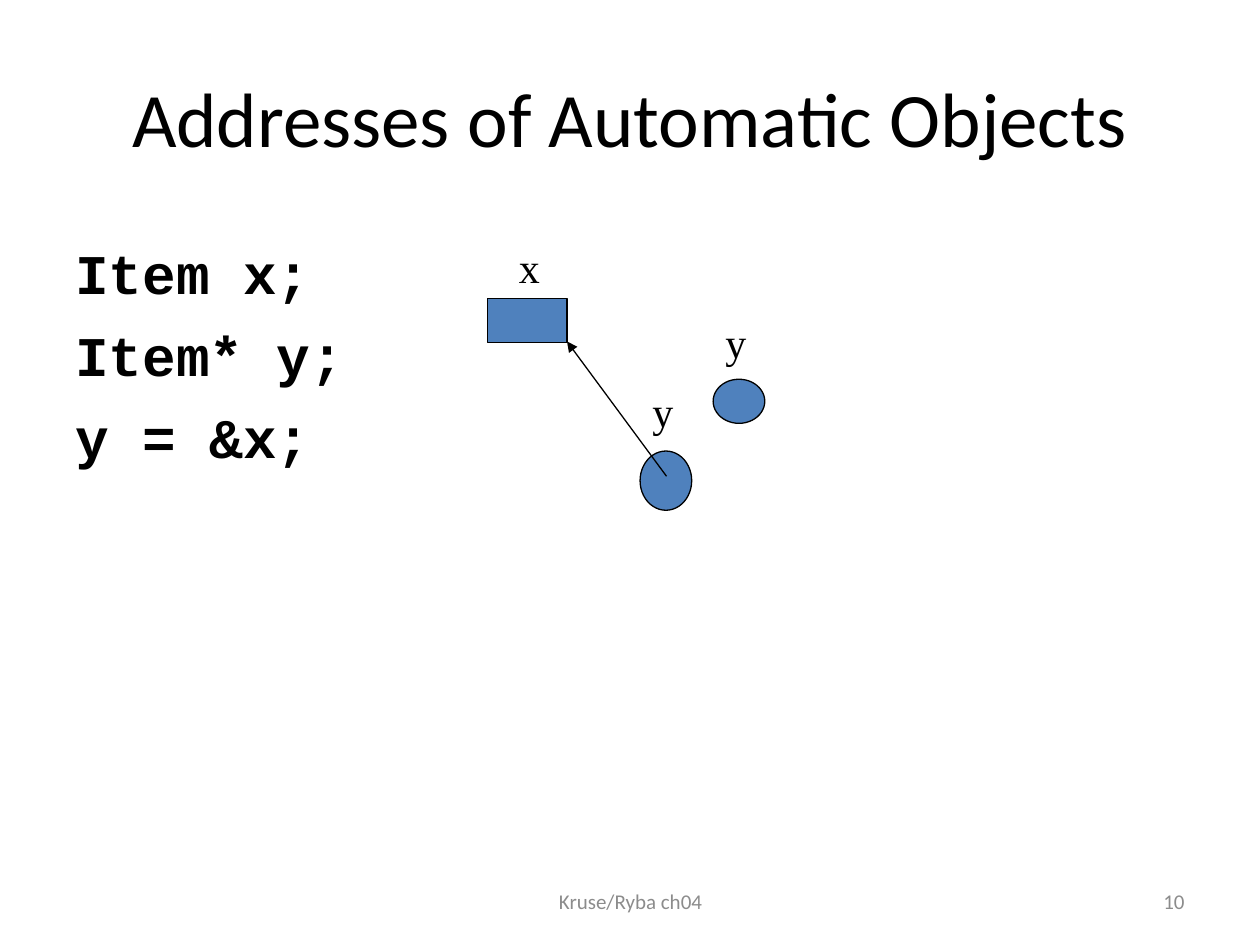
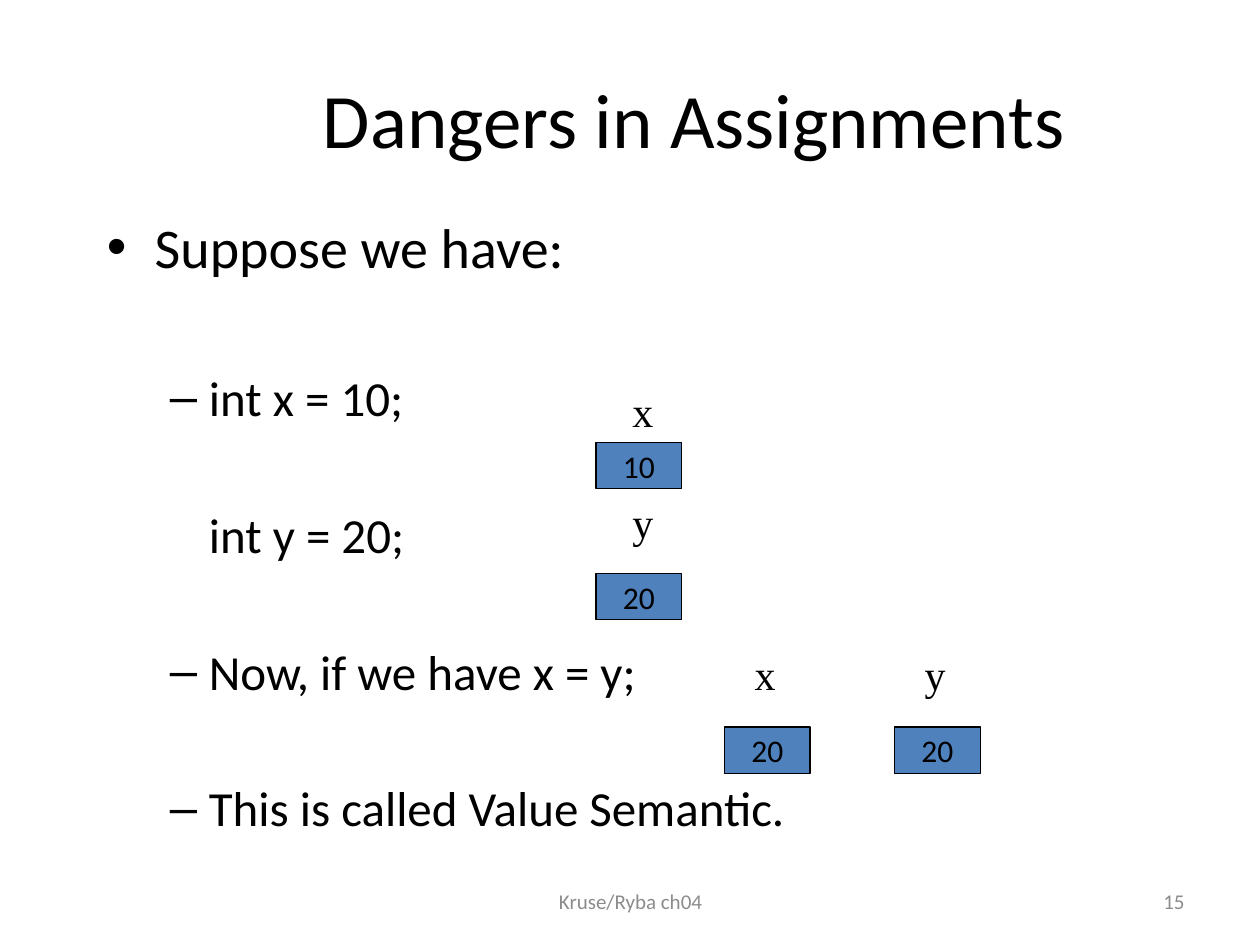
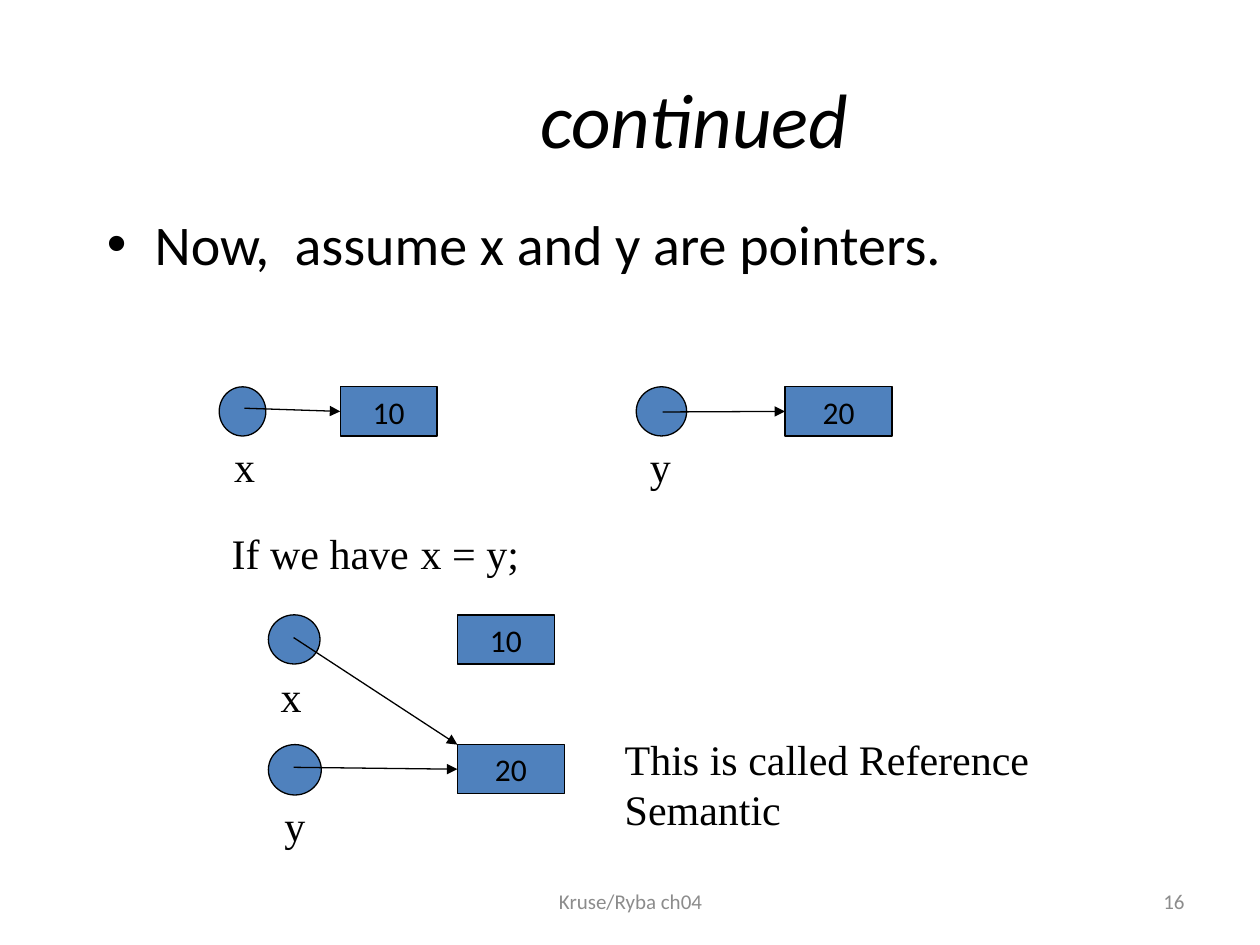
from dataclasses import dataclass
from typing import NamedTuple

from lxml import etree
from pptx import Presentation
from pptx.dml.color import RGBColor
from pptx.enum.shapes import MSO_CONNECTOR, MSO_SHAPE
from pptx.enum.text import MSO_ANCHOR, MSO_AUTO_SIZE, PP_ALIGN
from pptx.oxml.ns import qn
from pptx.util import Inches, Pt

RECTANGLE, ELLIPSE = MSO_SHAPE.RECTANGLE, MSO_SHAPE.OVAL
STRAIGHT = MSO_CONNECTOR.STRAIGHT
LEFT, CENTER, RIGHT = PP_ALIGN.LEFT, PP_ALIGN.CENTER, PP_ALIGN.RIGHT
TOP, MIDDLE = MSO_ANCHOR.TOP, MSO_ANCHOR.MIDDLE
NO_AUTOFIT = MSO_AUTO_SIZE.NONE

SLIDE_WIDTH, SLIDE_HEIGHT = Inches(10), Inches(7.5)
COLUMN, ROW = SLIDE_WIDTH / 100, SLIDE_HEIGHT / 75
TITLE_ONLY = 5
LEFT_SIDE = 1

BLACK, BLUE, GRAY = "000000", "4F81BD", "8C8C8C"
SANS, SERIF, MONO = "Calibri", "Times New Roman", "Courier New"
FOOTER = "Kruse/Ryba ch04"


class Box(NamedTuple):
    column: float
    row: float
    columns: float
    rows: float

    def lengths(self) -> tuple[int, int, int, int]:
        return (round(self.column * COLUMN), round(self.row * ROW),
                round(self.columns * COLUMN), round(self.rows * ROW))


class Point(NamedTuple):
    column: float
    row: float


class Line(NamedTuple):
    text: str
    size: float = 28
    bullet: str = ""
    margin: float = 0.81
    indent: float = -0.31
    before: float = 0
    tab: float = 0
    font: str = SANS
    bold: bool = False


class Node(NamedTuple):
    box: Box
    value: str = ""
    kind: int = RECTANGLE


class Label(NamedTuple):
    text: str
    column: float
    row: float
    columns: float = 4
    rows: float = 5
    tab: float = 0


class Arrow(NamedTuple):
    start: Point
    end: Point
    target: int | None = None


@dataclass(frozen=True)
class Page:
    number: int
    title: str
    title_box: Box
    body_box: Box
    lines: list[Line]
    nodes: list[Node]
    labels: list[Label]
    arrows: list[Arrow]
    italic: bool = False


FOOTER_BOX = Box(34.2, 69.5, 31.7, 4)
NUMBER_BOX = Box(71.7, 69.5, 23.3, 4)
WIDE_TITLE = Box(5, 3, 90, 12.5)
OFFSET_TITLE = Box(12.6, 5, 85, 8.7)


def code(text: str, before: float = 8.6) -> Line:
    return Line(text, 32, "", 0.38, -0.38, before, font=MONO, bold=True)


def point(text: str, tab: float = 0) -> Line:
    return Line(text, 32, "•", 0.38, -0.38, tab=tab)


def value_box(value: str, column: float, row: float) -> Node:
    return Node(Box(column, row, 6.8, 3.7), value)


def target_box(value: str, column: float, row: float, columns: float) -> Node:
    return Node(Box(column, row, columns, 3.9), value)


def pointer(column: float, row: float, columns: float, rows: float) -> Node:
    return Node(Box(column, row, columns, rows), kind=ELLIPSE)


PAGES = [
    Page(
        10, "Addresses of Automatic Objects", WIDE_TITLE, Box(5, 18.4, 90, 48.6),
        [code("Item x;", 0), code("Item* y;"), code("y = &x;")],
        [Node(Box(38.7, 23.7, 6.3, 3.5)),
         pointer(56.6, 30.1, 4.1, 3.5), pointer(50.8, 35.8, 4.1, 4.7)],
        [Label("x", 40.2, 18.7), Label("y", 56.6, 24.6), Label("y", 50.8, 30.1)],
        [Arrow(Point(52.9, 37.8), Point(45, 27.1))],
    ),
    Page(
        15, "Dangers in Assignments", OFFSET_TITLE, Box(7.5, 16.4, 85, 56.8),
        [point("Suppose we have:"),
         Line("int x = 10;", bullet="–", before=50),
         Line("int y = 20;", indent=0, before=44.5),
         Line("Now, if we have x = y;", bullet="–", before=44.5),
         Line("This is called Value Semantic.", bullet="–", before=44.5)],
        [value_box("10", 47.3, 35.1), value_box("20", 47.3, 45.5),
         value_box("20", 57.5, 57.7), value_box("20", 71, 57.7)],
        [Label("x", 49.2, 30.1), Label("y", 49.2, 38.9),
         Label("x", 58.9, 51), Label("y", 72.4, 51)],
        [],
    ),
    Page(
        16, "continued", OFFSET_TITLE, Box(7.5, 16.1, 85, 56.9),
        [point("Now,\tassume x and y are pointers.", 1.49)],
        [pointer(17.4, 30.7, 3.7, 3.9), pointer(50.5, 30.7, 4, 3.9),
         target_box("10", 27, 30.7, 7.7), target_box("20", 62.3, 30.7, 8.5),
         target_box("10", 36.3, 48.8, 7.7), target_box("20", 36.3, 59.1, 8.5),
         pointer(21.3, 48.8, 4.1, 3.9), pointer(21.3, 59.1, 4.2, 4)],
        [Label("x", 17.6, 34.5), Label("y", 50.6, 34.5),
         Label("If we have\tx = y;", 17.4, 41.4, 37.1, tab=1.66),
         Label("x", 21.3, 52.7), Label("y", 21.6, 63),
         Label("This is called Reference Semantic", 48.6, 57.7, 44.4, 9)],
        [Arrow(Point(19.4, 32.4), Point(27, 32.7), 2),
         Arrow(Point(52.6, 32.7), Point(62.3, 32.7), 3),
         Arrow(Point(23.3, 60.9), Point(36.3, 60.9), 5),
         Arrow(Point(23.3, 50.6), Point(36.3, 59.1))],
        italic=True,
    ),
]


def color(value: str) -> RGBColor:
    return RGBColor.from_string(value)


def write(paragraph, text: str, *, size: float, font: str = SANS,
          ink: str = BLACK, align: int = LEFT, bold: bool = False,
          italic: bool = False, before: float = 0, bullet: str = "",
          margin: float = 0, indent: float = 0, tab: float = 0) -> None:
    properties = paragraph._p.get_or_add_pPr()
    properties.set("marL", str(Inches(margin)))
    properties.set("indent", str(Inches(indent)))
    if bullet:
        etree.SubElement(properties, qn("a:buFont"), typeface="Arial")
        etree.SubElement(properties, qn("a:buChar"), char=bullet)
    else:
        etree.SubElement(properties, qn("a:buNone"))
    if tab:
        tabs = etree.SubElement(properties, qn("a:tabLst"))
        etree.SubElement(tabs, qn("a:tab"), pos=str(Inches(tab)), algn="l")
    paragraph.alignment = align
    paragraph.space_before = Pt(before)
    run = paragraph.add_run()
    run.text = text
    run.font.name, run.font.size = font, Pt(size)
    run.font.bold, run.font.italic = bold, italic
    run.font.color.rgb = color(ink)


def add_text_frame(slide, box: Box, anchor: int = TOP):
    frame = slide.shapes.add_textbox(*box.lengths()).text_frame
    frame.word_wrap = True
    frame.auto_size = NO_AUTOFIT
    frame.vertical_anchor = anchor
    return frame


def add_title(slide, page: Page) -> None:
    title = slide.shapes.title
    title.left, title.top, title.width, title.height = page.title_box.lengths()
    title.text_frame.auto_size = NO_AUTOFIT
    title.text_frame.vertical_anchor = MIDDLE
    write(title.text_frame.paragraphs[0], page.title, size=44, align=CENTER,
          italic=page.italic)


def add_footer(slide, number: int) -> None:
    for text, box, align in ((FOOTER, FOOTER_BOX, CENTER),
                             (str(number), NUMBER_BOX, RIGHT)):
        frame = add_text_frame(slide, box, MIDDLE)
        write(frame.paragraphs[0], text, size=12, ink=GRAY, align=align)


def add_body(slide, page: Page) -> None:
    frame = add_text_frame(slide, page.body_box)
    for index, line in enumerate(page.lines):
        paragraph = frame.add_paragraph() if index else frame.paragraphs[0]
        write(paragraph, **line._asdict())


def add_node(slide, node: Node):
    shape = slide.shapes.add_shape(node.kind, *node.box.lengths())
    shape.shadow.inherit = False
    shape.fill.solid()
    shape.fill.fore_color.rgb = color(BLUE)
    shape.line.color.rgb = color(BLACK)
    shape.line.width = Pt(0.75)
    if node.value:
        shape.text_frame.word_wrap = False
        shape.text_frame.vertical_anchor = MIDDLE
        write(shape.text_frame.paragraphs[0], node.value, size=18, align=CENTER)
    return shape


def add_label(slide, label: Label) -> None:
    box = Box(label.column, label.row, label.columns, label.rows)
    frame = add_text_frame(slide, box)
    write(frame.paragraphs[0], label.text, size=24, font=SERIF, tab=label.tab)


def add_arrow(slide, arrow: Arrow, shapes: list) -> None:
    ends = [round(length) for end in (arrow.start, arrow.end)
            for length in (end.column * COLUMN, end.row * ROW)]
    connector = slide.shapes.add_connector(STRAIGHT, *ends)
    if arrow.target is not None:
        connector.end_connect(shapes[arrow.target], LEFT_SIDE)
    connector.line.color.rgb = color(BLACK)
    connector.line.width = Pt(0.75)
    etree.SubElement(connector.line._get_or_add_ln(), qn("a:tailEnd"),
                     type="triangle")
    etree.SubElement(connector._element.spPr, qn("a:effectLst"))


def add_page(presentation, page: Page) -> None:
    slide = presentation.slides.add_slide(presentation.slide_layouts[TITLE_ONLY])
    add_footer(slide, page.number)
    add_title(slide, page)
    add_body(slide, page)
    shapes = [add_node(slide, node) for node in page.nodes]
    for label in page.labels:
        add_label(slide, label)
    for arrow in page.arrows:
        add_arrow(slide, arrow, shapes)


def main() -> None:
    presentation = Presentation()
    presentation.slide_width = SLIDE_WIDTH
    presentation.slide_height = SLIDE_HEIGHT
    for page in PAGES:
        add_page(presentation, page)
    presentation.save("out.pptx")


if __name__ == "__main__":
    main()
